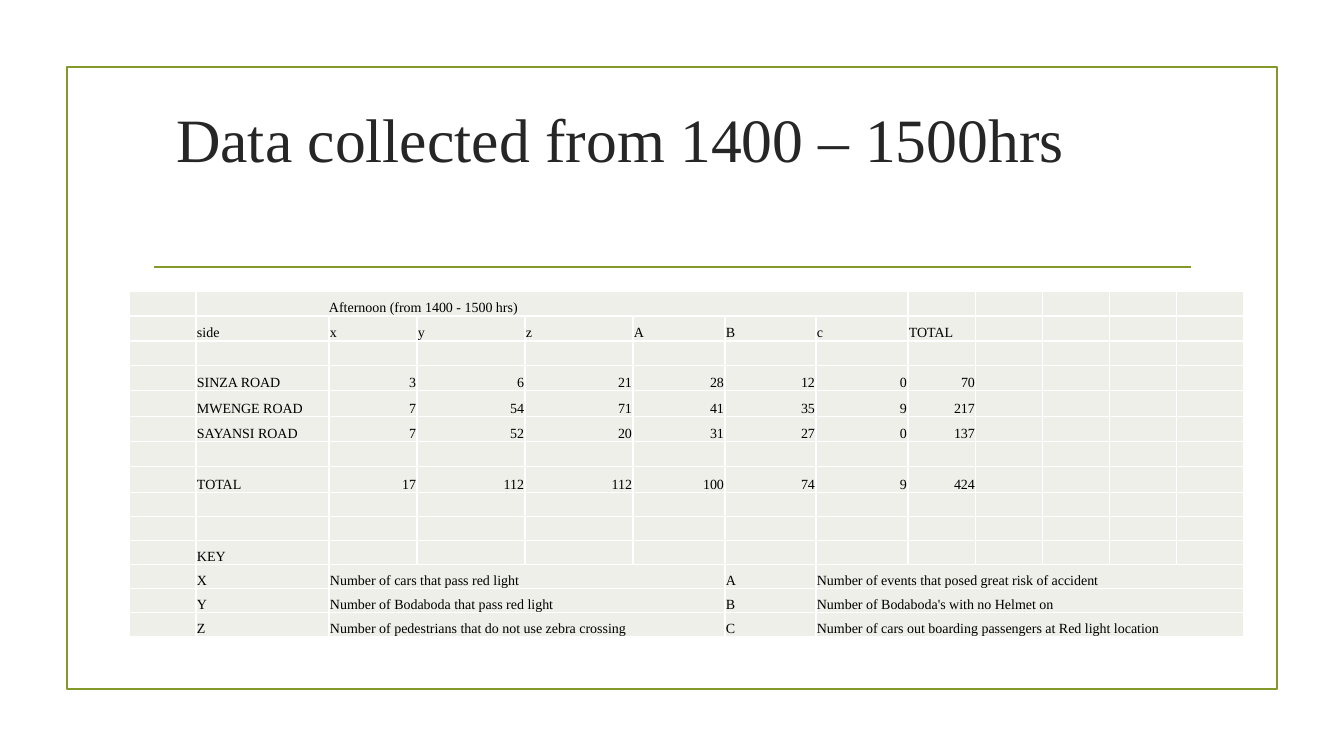
from lxml.etree import SubElement
from pptx import Presentation
from pptx.dml.color import RGBColor
from pptx.enum.shapes import MSO_CONNECTOR, MSO_SHAPE
from pptx.enum.text import MSO_ANCHOR, PP_ALIGN
from pptx.oxml.ns import qn
from pptx.util import Pt

EMU_PER_PX = 914400 / 100.8
COLORS = {"olive": "83992A", "title": "262626", "text": "000000",
          "cell": "EDEFE8", "border": "FFFFFF"}
FONT = "Times New Roman"
COL_WIDTHS = [67, 133, 88, 108, 108, 92, 91, 92, 68] + [67] * 4
ROW_HEIGHTS = [25, 25, 25, 25, 26, 25, 25, 26] + [24] * 6
ROWS = {
    0: ["Afternoon (from 1400 - 1500 hrs)"],
    1: ["side", "x", "y", "z", "A", "B", "c", "TOTAL"],
    3: ["SINZA ROAD", 3, 6, 21, 28, 12, 0, 70],
    4: ["MWENGE ROAD", 7, 54, 71, 41, 35, 9, 217],
    5: ["SAYANSI ROAD", 7, 52, 20, 31, 27, 0, 137],
    7: ["TOTAL", 17, 112, 112, 100, 74, 9, 424],
    10: ["KEY"],
}
KEYS = [
    ("X", "Number of cars that pass red light",
     "A", "Number of events that posed great risk of accident"),
    ("Y", "Number of Bodaboda that pass red light",
     "B", "Number of Bodaboda's with no Helmet on"),
    ("Z", "Number of pedestrians that do not use zebra crossing",
     "C", "Number of cars out boarding passengers at Red light location"),
]
KEY_COLS = (1, 2, 6, 7)
KEY_ROW = 11


def px(n):
    return round(n * EMU_PER_PX)


def rgb(name):
    return RGBColor.from_string(COLORS[name])


def apply(obj, **values):
    for name, value in values.items():
        setattr(obj, name, value)


class SlideBuilder:
    def __init__(self, slide):
        self.slide = slide

    def outline(self, line):
        line.color.rgb = rgb("olive")
        line.width = Pt(1.25)

    def frame(self, *box):
        sp = self.slide.shapes.add_shape(MSO_SHAPE.RECTANGLE, *map(px, box))
        sp.shadow.inherit = False
        sp.fill.background()
        self.outline(sp.line)

    def rule(self, *ends):
        cxn = self.slide.shapes.add_connector(MSO_CONNECTOR.STRAIGHT, *map(px, ends))
        SubElement(cxn._element.spPr, qn("a:effectLst"))
        self.outline(cxn.line)

    def text(self, p, text, size, color, align):
        p.alignment = align
        r = p.add_run()
        r.text = text
        apply(r.font, name=FONT, size=Pt(size))
        r.font.color.rgb = rgb(color)

    def title(self, text, *box):
        tf = self.slide.shapes.add_textbox(*map(px, box)).text_frame
        apply(tf, word_wrap=True, vertical_anchor=MSO_ANCHOR.MIDDLE)
        self.text(tf.paragraphs[0], text, 44, "title", PP_ALIGN.CENTER)

    def borders(self, cell):
        tcPr = cell._tc.get_or_add_tcPr()
        for side in ("lnL", "lnR", "lnT", "lnB"):
            ln = SubElement(tcPr, qn(f"a:{side}"), w=str(Pt(1)))
            fill = SubElement(ln, qn("a:solidFill"))
            SubElement(fill, qn("a:srgbClr"), val=COLORS["border"])

    def cell(self, cell, value, indent):
        self.borders(cell)
        cell.fill.solid()
        cell.fill.fore_color.rgb = rgb("cell")
        apply(cell, vertical_anchor=MSO_ANCHOR.BOTTOM, margin_left=px(indent),
              margin_right=px(1), margin_top=px(1), margin_bottom=0)
        p = cell.text_frame.paragraphs[0]
        if value is None:
            SubElement(p._p, qn("a:endParaRPr"), sz="1000")
        else:
            align = PP_ALIGN.RIGHT if isinstance(value, int) else PP_ALIGN.LEFT
            self.text(p, str(value), 10, "text", align)

    def table(self, left, top, values, merges, indents):
        size = sum(COL_WIDTHS), sum(ROW_HEIGHTS)
        tbl = self.slide.shapes.add_table(
            len(ROW_HEIGHTS), len(COL_WIDTHS), *map(px, (left, top, *size))).table
        apply(tbl, first_row=False, horz_banding=False)
        for col, width in zip(tbl.columns, COL_WIDTHS):
            col.width = px(width)
        for row, height in zip(tbl.rows, ROW_HEIGHTS):
            row.height = px(height)
        for row, first, last in merges:
            tbl.cell(row, first).merge(tbl.cell(row, last))
        for row in range(len(ROW_HEIGHTS)):
            for col in range(len(COL_WIDTHS)):
                cell = tbl.cell(row, col)
                if not cell.is_spanned:
                    at = row, col
                    self.cell(cell, values.get(at), indents.get(at, 1))


def main():
    prs = Presentation()
    apply(prs, slide_width=px(1344), slide_height=px(756))
    s = SlideBuilder(prs.slides.add_slide(prs.slide_layouts[6]))
    s.frame(67, 67, 1210, 622)
    s.rule(154, 267, 1191, 267)
    s.title("Data collected from 1400 – 1500hrs", 129, 67, 983, 141)

    values = {(row, col): value for row, line in ROWS.items()
              for col, value in enumerate(line, 1)}
    merges = [(0, 1, 7)]
    for row, line in enumerate(KEYS, KEY_ROW):
        values.update({(row, col): text for col, text in zip(KEY_COLS, line)})
        merges += [(row, 2, 5), (row, 7, 12)]
    s.table(129, 291, values, merges, {(0, 1): COL_WIDTHS[1]})
    prs.save("out.pptx")


if __name__ == "__main__":
    main()
